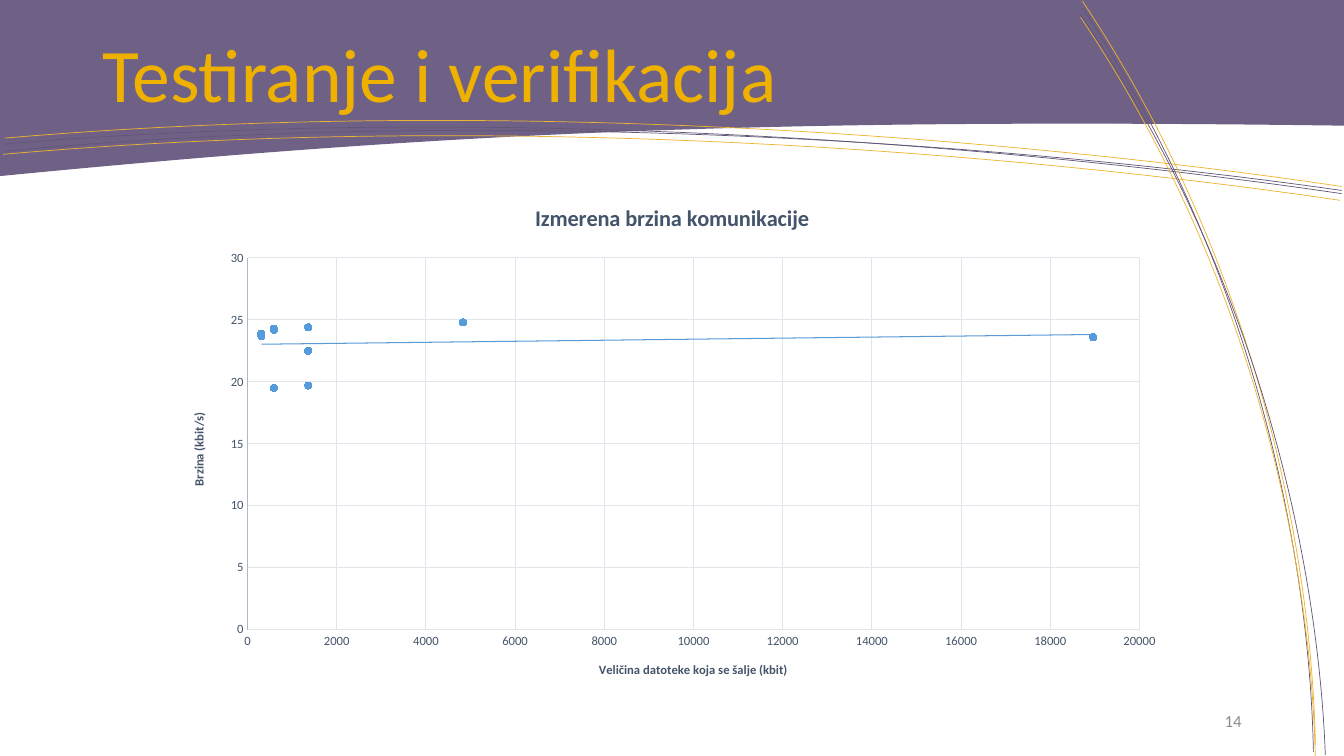
import pptx
import pptx.chart.data
import pptx.enum.chart
import pptx.enum.text
import pptx.oxml
import pptx.oxml.ns
import pptx.util
from pptx.dml.color import RGBColor
from pptx.util import Cm

COLORS = {
    "band": "6F6185", "gold": "EFB32F", "purple": "625676", "title": "EFB100",
    "number": "8C8C8C", "text": "44546A", "grid": "E0E5EB", "axis": "ADB9CA",
    "point": "559BDB", "trend": "5B9BD5",
}
FONT = "Calibri"
CHART_WIDTH, CHART_HEIGHT = 25.4, 13.03

# Start, two control points and end of each curve, in cm
BAND_EDGE = [(33.87, 3.15), (19.3, 2.95), (11.2, 3.33), (0, 4.42)]
STRANDS = [
    ("gold", [(0.13, 3.48), (14.96, 2.21), (29.06, 3.99), (33.81, 4.7)]),
    ("purple", [(0.1, 3.63), (14.91, 2.39), (28.98, 4.17), (33.81, 4.88)]),
    ("gold", [(0.08, 3.89), (14.83, 2.59), (28.85, 4.32), (33.78, 5.05)]),
    ("purple", [(0.1, 3.81), (14.88, 2.44), (29.01, 4.11), (33.81, 4.8)]),
    ("gold", [(27.28, 0.03), (32.49, 7.87), (33.1, 16), (33.15, 18.77)]),
    ("purple", [(27.28, 0.2), (32.46, 8.03), (33.05, 16.15), (33.1, 18.95)]),
    ("gold", [(27.23, 0.43), (32.46, 8.23), (33.1, 16.31), (33.15, 19.18)]),
    ("purple", [(27.2, 0.33), (32.56, 8.13), (33.3, 16.23), (33.4, 19.02)]),
]
MEASUREMENTS = [
    (1360, 19.7), (1360, 22.5), (1360, 24.4), (310, 23.7), (310, 23.9), (310, 23.9),
    (18960, 23.6), (590, 19.5), (590, 24.2), (590, 24.3), (4830, 24.8),
]


def rgb(name):
    return RGBColor.from_string(COLORS[name])


def set_font(font, size, color, bold=False):
    font.name, font.size, font.bold = FONT, pptx.util.Pt(size), bold
    font.color.rgb = rgb(color)


def set_line(line, color, width):
    line.color.rgb = rgb(color)
    line.width = pptx.util.Pt(width)


def bend_end(sp):
    """Turn the last three straight segments into one cubic curve."""
    segments = list(sp._element.iter(pptx.oxml.ns.qn("a:lnTo")))[-3:]
    curve = pptx.oxml.parse_xml(f'<a:cubicBezTo {pptx.oxml.ns.nsdecls("a")}/>')
    segments[0].addprevious(curve)
    for segment in segments:
        curve.append(segment[0])
        segment.getparent().remove(segment)


def add_curve(s, points, color, width, closed=False):
    start, *rest = [(Cm(x), Cm(y)) for x, y in points]
    builder = s.shapes.build_freeform(*start)
    builder.add_line_segments(rest, close=closed)
    sp = builder.convert_to_shape()
    bend_end(sp)
    sp.shadow.inherit = False
    if closed:
        sp.fill.solid()
        sp.fill.fore_color.rgb = rgb(color)
    else:
        sp.fill.background()
    set_line(sp.line, color, width)


def add_background(s):
    add_curve(s, [(0, 0), (33.87, 0)] + BAND_EDGE, "band", 1, closed=True)
    for color, points in STRANDS:
        add_curve(s, points, color, 0.5)


def place_title(s, text):
    sp = s.shapes.title
    s.shapes._spTree.append(sp._element)  # in front of the band
    sp.left, sp.top, sp.width, sp.height = Cm(2.33), Cm(0.48), Cm(29.21), Cm(2.95)
    tf = sp.text_frame
    tf.text = text
    tf.auto_size = pptx.enum.text.MSO_AUTO_SIZE.NONE
    tf.vertical_anchor = pptx.enum.text.MSO_ANCHOR.MIDDLE
    p = tf.paragraphs[0]
    p.alignment = pptx.enum.text.PP_ALIGN.LEFT
    p.line_spacing = 0.9
    set_font(p.font, 54, "title")


def add_slide_number(s, text):
    tf = s.shapes.add_textbox(Cm(23.92), Cm(17.66), Cm(7.62), Cm(1.01)).text_frame
    tf.word_wrap = True
    tf.vertical_anchor = pptx.enum.text.MSO_ANCHOR.MIDDLE
    p = tf.paragraphs[0]
    p.text = text
    p.alignment = pptx.enum.text.PP_ALIGN.RIGHT
    set_font(p.font, 12, "number")


def set_heading(title, text, size):
    title.text_frame.text = text
    set_font(title.text_frame.paragraphs[0].font, size, "text", bold=True)


def format_axis(axis, title, maximum, step, line_color):
    axis.minimum_scale, axis.maximum_scale, axis.major_unit = 0, maximum, step
    axis.major_tick_mark = axis.minor_tick_mark = pptx.enum.chart.XL_TICK_MARK.NONE
    axis.has_major_gridlines = True
    set_line(axis.major_gridlines.format.line, "grid", 0.75)
    set_line(axis.format.line, line_color, 0.75)
    set_font(axis.tick_labels.font, 9, "text")
    set_heading(axis.axis_title, title, 9)


def add_trend_line(series):
    trend = pptx.oxml.parse_xml(
        f'<c:trendline {pptx.oxml.ns.nsdecls("c", "a")}>'
        f'<c:spPr><a:ln w="9525"><a:solidFill><a:srgbClr val="{COLORS["trend"]}"/>'
        '</a:solidFill></a:ln></c:spPr><c:trendlineType val="linear"/>'
        '<c:dispRSqr val="0"/><c:dispEq val="0"/></c:trendline>')
    series._element.find(pptx.oxml.ns.qn("c:xVal")).addprevious(trend)


def set_plot_area(chart, left, top, width, height):
    """Fix the inner plot area, given in cm within the chart."""
    plot_area = chart._chartSpace.chart.plotArea
    for old in plot_area.findall(pptx.oxml.ns.qn("c:layout")):
        plot_area.remove(old)
    fractions = {"x": left / CHART_WIDTH, "y": top / CHART_HEIGHT,
                 "w": width / CHART_WIDTH, "h": height / CHART_HEIGHT}
    sizes = "".join(f'<c:{k} val="{v:.4f}"/>' for k, v in fractions.items())
    plot_area.insert(0, pptx.oxml.parse_xml(
        f'<c:layout {pptx.oxml.ns.nsdecls("c")}><c:manualLayout>'
        '<c:layoutTarget val="inner"/><c:xMode val="edge"/><c:yMode val="edge"/>'
        f'{sizes}</c:manualLayout></c:layout>'))


def add_speed_chart(s):
    data = pptx.chart.data.XyChartData()
    speeds = data.add_series("Series 1")
    for size, speed in MEASUREMENTS:
        speeds.add_data_point(size, speed)
    chart = s.shapes.add_chart(pptx.enum.chart.XL_CHART_TYPE.XY_SCATTER, Cm(4.24), Cm(4.62),
                               Cm(CHART_WIDTH), Cm(CHART_HEIGHT), data).chart
    set_font(chart.font, 10, "text")
    chart.has_legend = False
    set_heading(chart.chart_title, "Izmerena brzina komunikacije", 16)
    format_axis(chart.category_axis, "Veličina datoteke koja se šalje (kbit)",
                20000, 2000, "grid")
    format_axis(chart.value_axis, "Brzina (kbit/s)", 30, 5, "axis")
    plot = chart.plots[0]
    plot.vary_by_categories = False
    series = plot.series[0]
    series.format.line.fill.background()
    series.marker.style = pptx.enum.chart.XL_MARKER_STYLE.CIRCLE
    series.marker.size = 5
    series.marker.format.fill.solid()
    series.marker.format.fill.fore_color.rgb = rgb("point")
    set_line(series.marker.format.line, "trend", 0.75)
    add_trend_line(series)
    set_plot_area(chart, 2, 1.88, 22.48, 9.37)


def main():
    prs = pptx.Presentation()
    prs.slide_width, prs.slide_height = Cm(33.87), Cm(19.05)
    s = prs.slides.add_slide(prs.slide_layouts.get_by_name("Title Only"))
    add_background(s)
    place_title(s, "Testiranje i verifikacija")
    add_slide_number(s, "14")
    add_speed_chart(s)
    prs.save("out.pptx")


if __name__ == "__main__":
    main()
